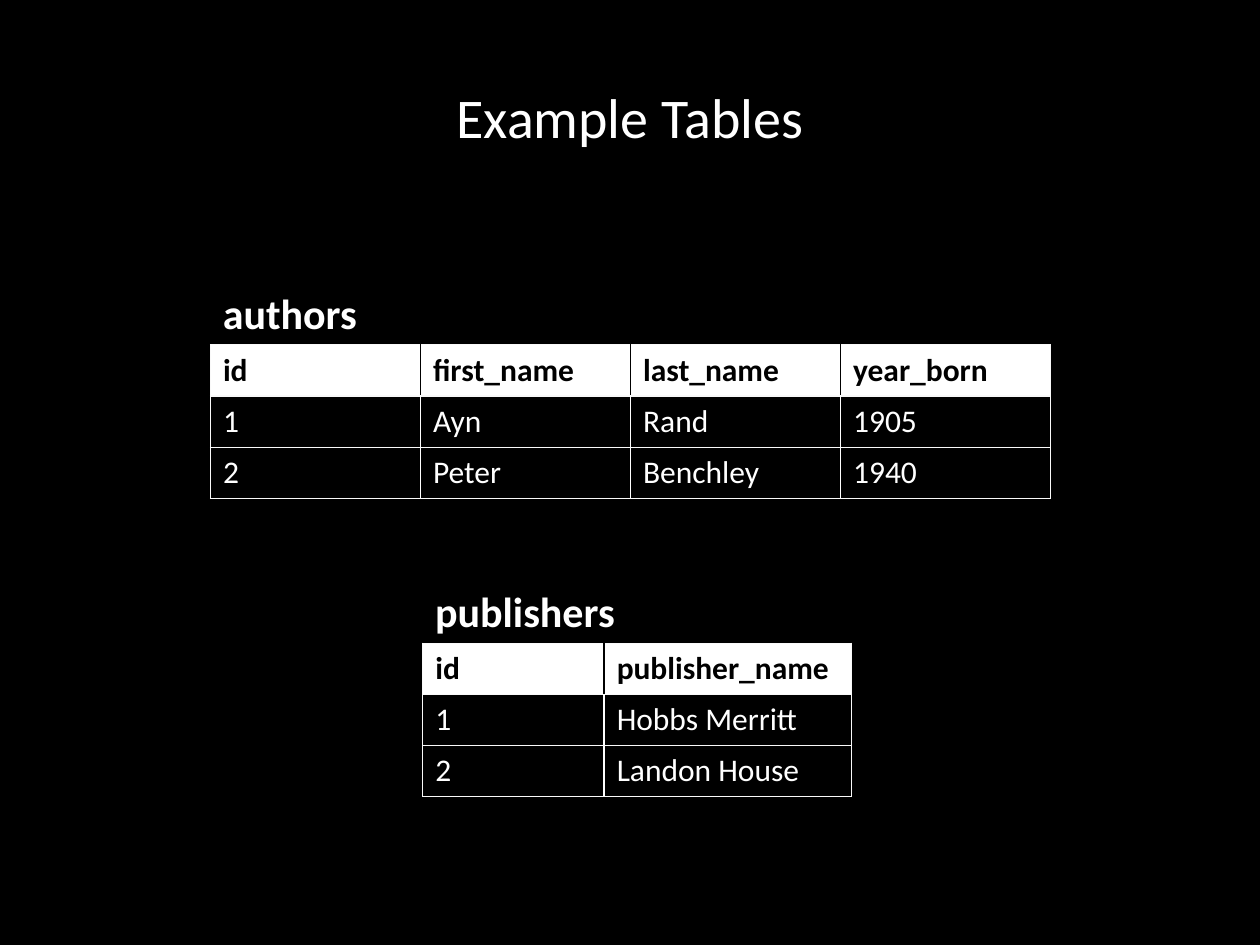
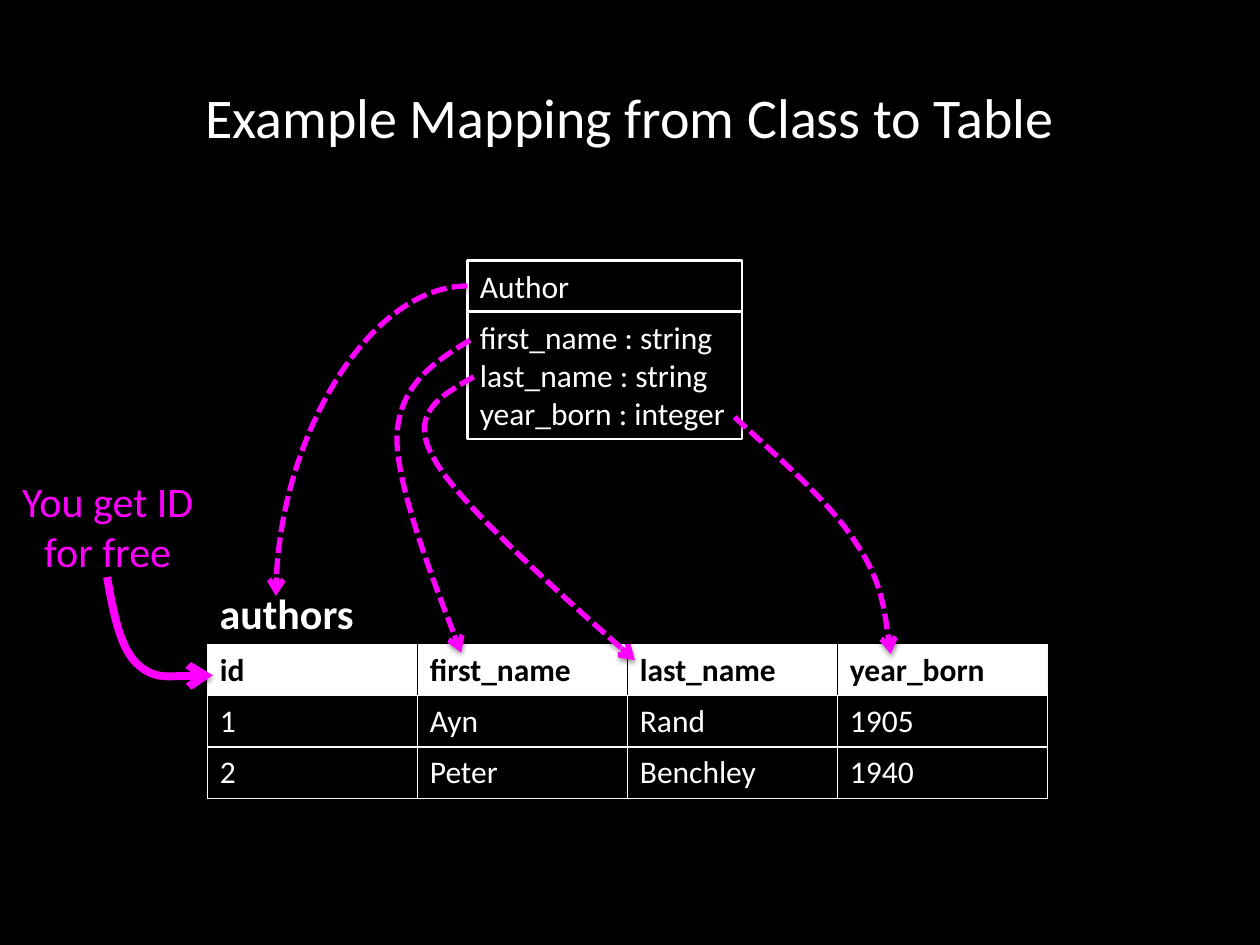
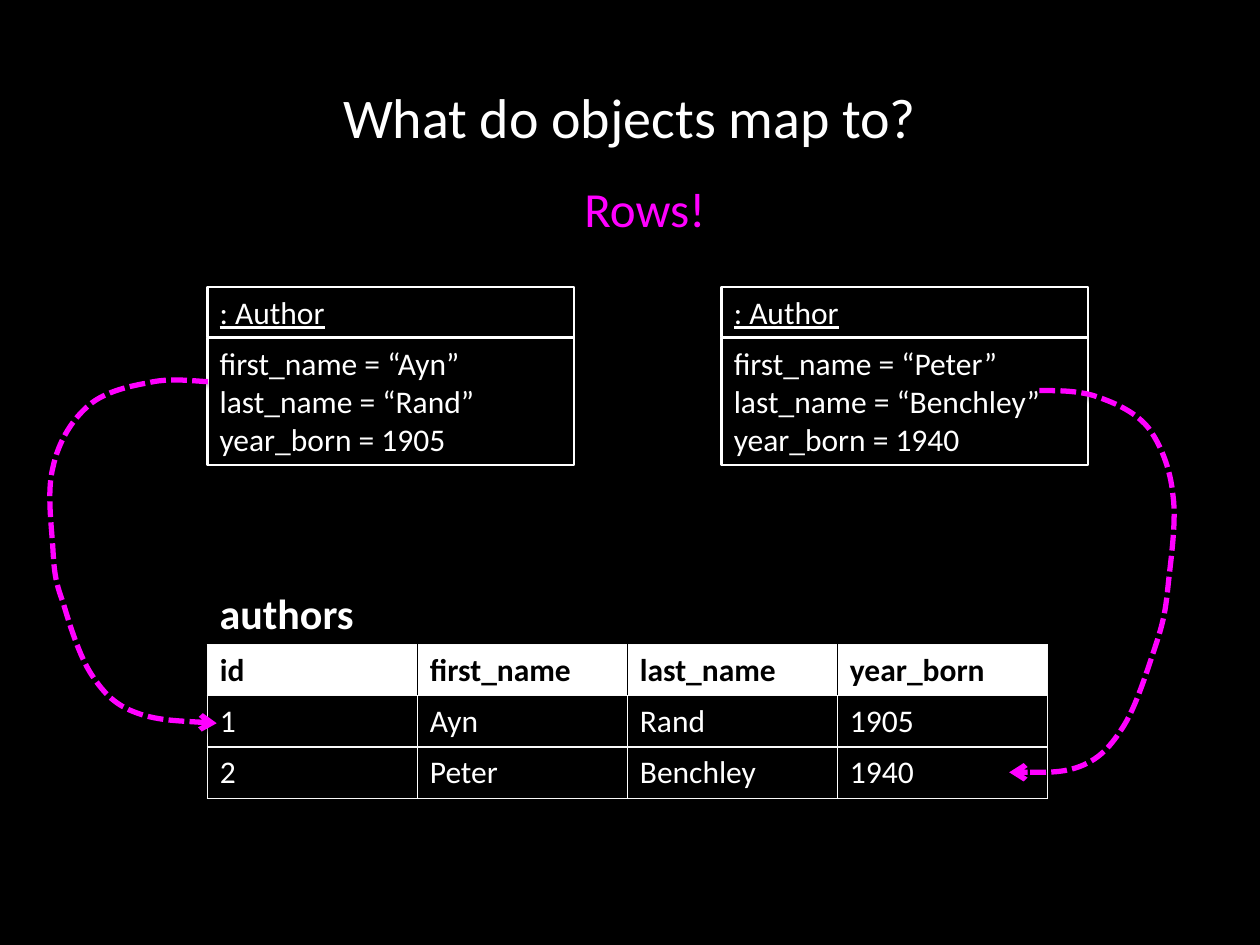
from pptx import Presentation
from pptx.dml.color import RGBColor
from pptx.enum.dml import MSO_LINE
from pptx.enum.shapes import MSO_CONNECTOR as CONNECTOR, MSO_SHAPE as SHAPE
from pptx.enum.text import MSO_ANCHOR as ANCHOR, MSO_AUTO_SIZE as AUTO_SIZE, PP_ALIGN as ALIGN
from pptx.oxml import parse_xml
from pptx.oxml.ns import nsdecls, qn
from pptx.util import Inches, Pt

BLACK = RGBColor(0x00, 0x00, 0x00)
WHITE = RGBColor(0xFF, 0xFF, 0xFF)
OFF_WHITE = RGBColor(0xF9, 0xF9, 0xF9)
MAGENTA = RGBColor(0xFF, 0x00, 0xFF)
FONT = "Calibri"

CELL = Inches(0.1)
COLUMNS, ROWS = 100, 75
TABLE_ROW = 4.06
LABEL_HEIGHT = 5.05
CLASS_NAME_HEIGHT, CLASS_BODY_HEIGHT = 4.04, 10.1

AUTHORS = [
    ["id", "first_name", "last_name", "year_born"],
    ["1", "Ayn", "Rand", "1905"],
    ["2", "Peter", "Benchley", "1940"],
]
PUBLISHERS = [
    ["id", "publisher_name"],
    ["1", "Hobbs Merritt"],
    ["2", "Landon House"],
]
AUTHORS_WIDTHS = [16.67] * 4
PUBLISHERS_WIDTHS = [14.4, 19.6]
MAPPED_LEFT, MAPPED_TOP = 16.45, 51.17


def grid(*lengths):
    """Turn lengths in grid cells into slide units."""
    return [round(length * CELL) for length in lengths]


def write_text(frame, text, size=18, color=WHITE, bold=False, underline=False,
               align=ALIGN.LEFT, anchor=ANCHOR.TOP, wrap=True, grow=True):
    """Fill a text frame with one paragraph for each line of text."""
    frame.word_wrap = wrap
    frame.vertical_anchor = anchor
    frame.auto_size = AUTO_SIZE.SHAPE_TO_FIT_TEXT if grow else AUTO_SIZE.NONE
    for index, line in enumerate(text.split("\n")):
        paragraph = frame.add_paragraph() if index else frame.paragraphs[0]
        paragraph.alignment = align
        run = paragraph.add_run()
        run.text = line
        run.font.name, run.font.size = FONT, Pt(size)
        run.font.bold, run.font.underline = bold, underline
        run.font.color.rgb = color


def add_label(slide, box, text, **style):
    """Add free-standing text in a box given in grid cells."""
    label = slide.shapes.add_textbox(*grid(*box))
    write_text(label.text_frame, text, **style)


def add_titled_slide(prs, title):
    """Add a blank slide with the shared title style."""
    slide = prs.slides.add_slide(prs.slide_layouts[6])
    add_label(slide, (5, 3, COLUMNS - 10, 12.5), title, size=32,
              align=ALIGN.CENTER, anchor=ANCHOR.MIDDLE, grow=False)
    return slide


def set_borders(cell, left, right):
    """Draw a cell's borders; left and right are colour and width pairs."""
    rule = (OFF_WHITE, 0.75)
    properties = cell._tc.get_or_add_tcPr()
    for side, (color, width) in zip("LRTB", (left, right, rule, rule)):
        properties.append(parse_xml(
            f'<a:ln{side} {nsdecls("a")} w="{Pt(width)}"><a:solidFill>'
            f'<a:srgbClr val="{color}"/></a:solidFill></a:ln{side}>'))


def add_db_table(slide, name, records, widths, left, top, name_width):
    """Add a database table with its name above it."""
    frame = slide.shapes.add_table(
        len(records), len(widths),
        *grid(left, top, sum(widths), TABLE_ROW * len(records)))
    table = frame.table
    table.first_row = table.horz_banding = False
    for column, width in zip(table.columns, grid(*widths)):
        column.width = width
    last = len(widths) - 1
    for r, record in enumerate(records):
        header = r == 0
        outer, inner = (OFF_WHITE, 0.75), (BLACK if header else WHITE, 1)
        for c, value in enumerate(record):
            cell = table.cell(r, c)
            set_borders(cell, inner if c else outer, inner if c < last else outer)
            if header:
                cell.fill.solid()
                cell.fill.fore_color.rgb = WHITE
            else:
                cell.fill.background()
            write_text(cell.text_frame, value, bold=header,
                       color=BLACK if header else WHITE, grow=False)
    add_label(slide, (left, top - LABEL_HEIGHT, name_width, LABEL_HEIGHT),
              name, size=24, bold=True, wrap=False)


def add_mapped_authors(slide):
    """Add the authors table at the foot of a mapping slide."""
    add_db_table(slide, "authors", AUTHORS, AUTHORS_WIDTHS, MAPPED_LEFT, MAPPED_TOP, 13.2)


def add_compartment(slide, box, text, **style):
    """Add one outlined compartment of a class box."""
    compartment = slide.shapes.add_shape(SHAPE.RECTANGLE, *grid(*box))
    compartment.shadow.inherit = False
    compartment.fill.background()
    compartment.line.color.rgb = WHITE
    compartment.line.width = Pt(1.5)
    write_text(compartment.text_frame, text, **style)


def add_class_box(slide, left, top, width, name, attributes,
                  is_object=False, wrap=True):
    """Add a class or object box with a name and its attributes."""
    add_compartment(slide, (left, top + CLASS_NAME_HEIGHT, width, CLASS_BODY_HEIGHT),
                    attributes, wrap=wrap)
    add_compartment(slide, (left, top, width, CLASS_NAME_HEIGHT), name,
                    underline=is_object)


def style_arrow(arrow, width=3, dashed=True):
    """Give an arrow its magenta line, head and soft shadow."""
    arrow.line.color.rgb = MAGENTA
    arrow.line.width = Pt(width)
    if dashed:
        arrow.line.dash_style = MSO_LINE.SQUARE_DOT
    properties = arrow.element.spPr
    properties.ln.append(parse_xml(f'<a:tailEnd {nsdecls("a")} type="arrow"/>'))
    properties.append(parse_xml(
        f'<a:effectLst {nsdecls("a")}><a:outerShdw blurRad="{Pt(3.1)}" '
        f'dist="{Pt(1.6)}" dir="5400000" rotWithShape="0"><a:srgbClr val="000000">'
        '<a:alpha val="38000"/></a:srgbClr></a:outerShdw></a:effectLst>'))


def bend_outline(outline):
    """Turn each three line segments of a freeform into one cubic curve."""
    segments = list(outline.element.spPr.iter(qn("a:lnTo")))
    for first in range(0, len(segments), 3):
        curve = parse_xml(f'<a:cubicBezTo {nsdecls("a")}/>')
        segments[first].addprevious(curve)
        for segment in segments[first:first + 3]:
            curve.append(segment[0])
            segment.getparent().remove(segment)


def add_curved_arrow(slide, start, *points, **style):
    """Add an arrow along joined cubic curves, three points to a curve."""
    builder = slide.shapes.build_freeform(*grid(*start))
    builder.add_line_segments([grid(*point) for point in points], close=False)
    arrow = builder.convert_to_shape()
    bend_outline(arrow)
    arrow.fill.background()
    style_arrow(arrow, **style)


def add_quarter_arrow(slide, start, end):
    """Add a connector that leaves sideways and arrives from above."""
    arrow = slide.shapes.add_connector(CONNECTOR.CURVE, *grid(*start, *end))
    arrow.element.spPr.prstGeom.set("prst", "curvedConnector2")
    style_arrow(arrow)


def add_tables_slide(prs):
    """Show the two example tables."""
    slide = add_titled_slide(prs, "Example Tables")
    add_db_table(slide, "authors", AUTHORS, AUTHORS_WIDTHS, 16.7, 27.37, 12.8)
    add_db_table(slide, "publishers", PUBLISHERS, PUBLISHERS_WIDTHS, 33.55, 51.05, 16.5)


def add_class_mapping_slide(prs):
    """Map a class and its attributes to a table and its columns."""
    slide = add_titled_slide(prs, "Example Mapping from Class to Table")
    add_mapped_authors(slide)
    add_class_box(slide, 37.1, 20.7, 21.8, "Author",
                  "first_name : string\nlast_name : string\nyear_born : integer",
                  wrap=False)
    add_quarter_arrow(slide, (37.1, 22.7), (21.9, 47.3))
    add_curved_arrow(slide, (37.3, 27), (34.5, 28.7), (31.7, 30.5), (31.5, 34.6),
                     (31.4, 38.7), (36.6, 51.8), (36.6, 51.8))
    add_curved_arrow(slide, (37.6, 29.9), (35, 31.4), (32.3, 32.8), (34.5, 36.5),
                     (36.6, 40.3), (50.4, 52.4), (50.4, 52.4))
    add_curved_arrow(slide, (58.3, 33.1), (62.1, 36.6), (66, 40), (68, 43.2),
                     (70.1, 46.3), (70.7, 51.9), (70.7, 51.9))
    add_label(slide, (0.65, 37.25, 15.8, 9.1), "You get ID for free", size=24,
              color=MAGENTA, align=ALIGN.CENTER)
    add_curved_arrow(slide, (8.5, 45.8), (9, 48.6), (9.5, 51.4), (10.9, 52.7),
                     (12.3, 54), (16.9, 53.6), (16.9, 53.6), width=4.5, dashed=False)


def add_object_mapping_slide(prs):
    """Map two objects to the rows of a table."""
    slide = add_titled_slide(prs, "What do objects map to?")
    add_mapped_authors(slide)
    for left, (_, first, last, year) in zip((MAPPED_LEFT, 57.25), AUTHORS[1:]):
        add_class_box(slide, left, 22.77, 29.1, ": Author",
                      f"first_name = “{first}”\nlast_name = “{last}”\nyear_born = {year}",
                      is_object=True)
    add_curved_arrow(slide, (16.5, 30.3), (14.9, 30.2), (13.3, 30), (11.7, 30.4),
                     (10, 30.7), (8, 31.2), (6.8, 32.4),
                     (5.6, 33.5), (4.6, 35.2), (4.2, 37.1),
                     (3.7, 39), (4.1, 41.8), (4.2, 43.6),
                     (4.3, 45.4), (4.4, 46.2), (5, 47.8),
                     (5.5, 49.5), (6.3, 52.1), (7.3, 53.6),
                     (8.3, 55.1), (9.2, 56), (10.9, 56.6),
                     (12.5, 57.2), (17.2, 57.4), (17.2, 57.4))
    add_curved_arrow(slide, (82.5, 31), (84, 31), (85.4, 31), (86.8, 31.4),
                     (88.3, 31.9), (90, 32.6), (91.1, 33.9),
                     (92.1, 35.2), (92.9, 37.2), (93.1, 39.3),
                     (93.4, 41.4), (92.9, 44.6), (92.7, 46.6),
                     (92.5, 48.6), (92.3, 49.5), (91.7, 51.3),
                     (91.1, 53.1), (90.2, 56), (89.2, 57.6),
                     (88.2, 59.2), (87.3, 60.2), (85.8, 60.8),
                     (84.3, 61.4), (80.1, 61.3), (80.1, 61.3))
    add_label(slide, (45.4, 13.7, 11.8, 5.7), "Rows!", size=28, color=MAGENTA, wrap=False)


def main():
    """Build the three slides and save them."""
    prs = Presentation()
    prs.slide_width, prs.slide_height = grid(COLUMNS, ROWS)
    backdrop = prs.slide_master.background.fill
    backdrop.solid()
    backdrop.fore_color.rgb = BLACK
    add_tables_slide(prs)
    add_class_mapping_slide(prs)
    add_object_mapping_slide(prs)
    prs.save("out.pptx")


if __name__ == "__main__":
    main()
